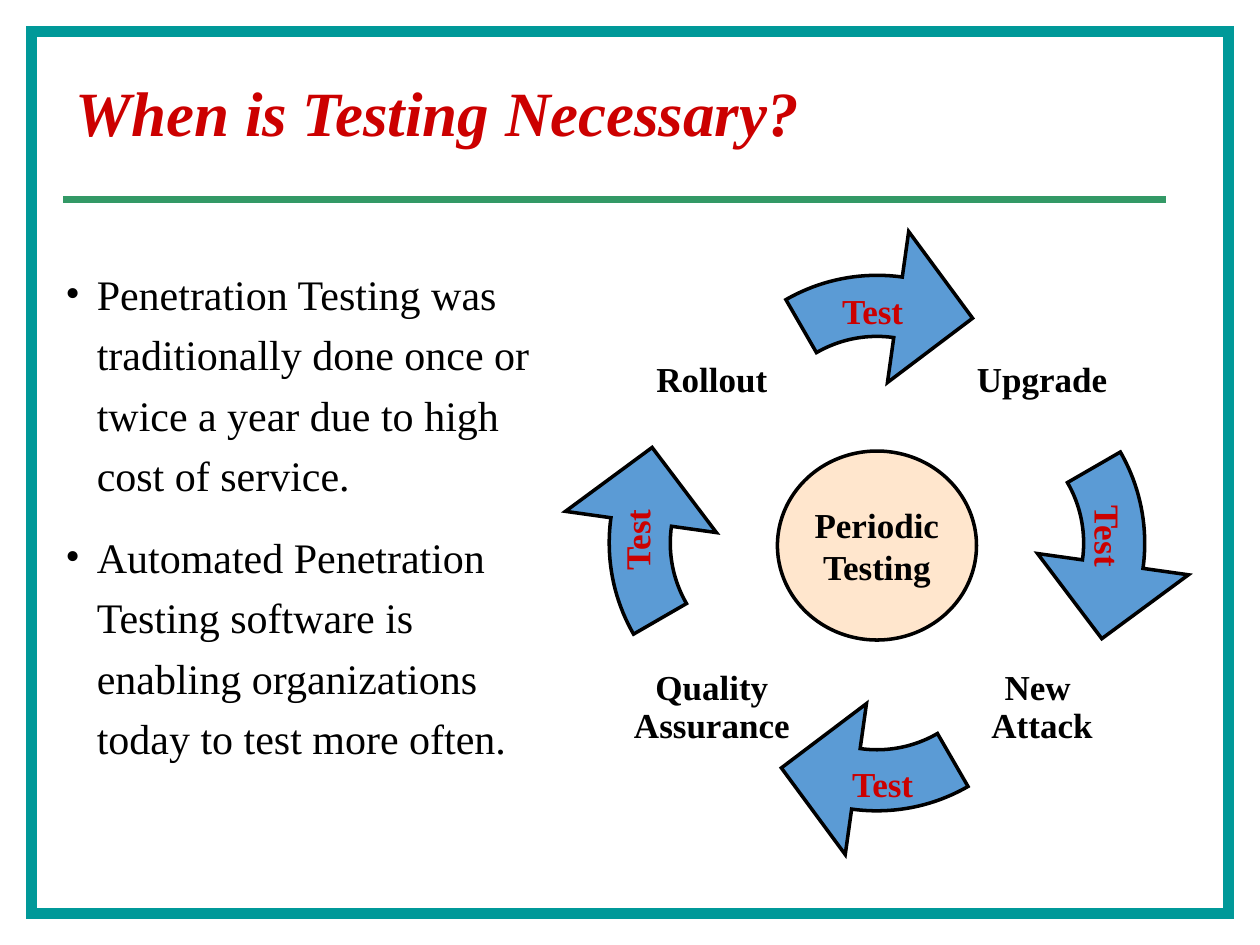
from dataclasses import dataclass
from math import cos, radians, sin, tan

from lxml.etree import SubElement
from pptx import Presentation
from pptx.dml.color import RGBColor
from pptx.enum.shapes import MSO_CONNECTOR, MSO_SHAPE
from pptx.enum.text import MSO_ANCHOR, PP_ALIGN
from pptx.oxml.ns import qn
from pptx.util import Inches, Pt


@dataclass(frozen=True)
class Theme:
    font: str = "Times New Roman"
    frame: str = "009999"
    rule: str = "339966"
    accent: str = "CC0000"
    ink: str = "000000"
    arrow: str = "5B9BD5"
    hub: str = "FFCC99"
    title_size: int = 36
    body_size: int = 24
    label_size: int = 20
    outline: float = 2


THEME = Theme()


def add_run(paragraph, text, size, color, bold=False, italic=False):
    run = paragraph.add_run()
    run.text = text
    font = run.font
    font.name, font.size, font.bold, font.italic = THEME.font, Pt(size), bold, italic
    font.color.rgb = RGBColor.from_string(color)


def set_line(shape, color, width):
    shape.line.color.rgb = RGBColor.from_string(color)
    shape.line.width = Pt(width)
    SubElement(shape._element.spPr.find(qn("a:ln")), qn("a:miter"), lim="800000")


def set_fill(shape, color):
    shape.fill.solid()
    shape.fill.fore_color.rgb = RGBColor.from_string(color)


def add_preset(slide, preset, box):
    shape = slide.shapes.add_shape(preset, *map(Inches, box))
    shape.shadow.inherit = False
    return shape


def add_text_box(slide, box, anchor=MSO_ANCHOR.TOP, wrap=True):
    shape = slide.shapes.add_textbox(*map(Inches, box))
    shape.text_frame.word_wrap = wrap
    shape.text_frame.vertical_anchor = anchor
    return shape


def write_lines(frame, lines, color, align, spacing=None):
    for index, line in enumerate(lines):
        paragraph = frame.add_paragraph() if index else frame.paragraphs[0]
        paragraph.alignment = align
        paragraph.line_spacing = spacing
        add_run(paragraph, line, THEME.label_size, color, bold=True)


def centered(x, y, width, height):
    return x - width / 2, y - height / 2, width, height


def add_frame(slide, box):
    frame = add_preset(slide, MSO_SHAPE.RECTANGLE, box)
    frame.fill.background()
    set_line(frame, THEME.frame, 6.25)


def add_title(slide, box, text):
    left, top, width, height = box
    title = add_text_box(slide, box, MSO_ANCHOR.MIDDLE)
    paragraph = title.text_frame.paragraphs[0]
    paragraph.line_spacing = 0.9
    add_run(paragraph, text, THEME.title_size, THEME.accent, bold=True, italic=True)
    # Rule just under the title
    y = Inches(top + height + 0.03)
    rule = slide.shapes.add_connector(
        MSO_CONNECTOR.STRAIGHT, Inches(left), y, Inches(left + width - 0.25), y)
    set_line(rule, THEME.rule, 4)
    SubElement(rule._element.spPr, qn("a:effectLst"))


def add_bullets(slide, box, items):
    frame = add_text_box(slide, box).text_frame
    for index, item in enumerate(items):
        paragraph = frame.add_paragraph() if index else frame.paragraphs[0]
        paragraph.line_spacing = 1.2
        paragraph.space_before = Pt(THEME.body_size / 2)
        properties = paragraph._p.get_or_add_pPr()
        properties.set("marL", str(Inches(0.25)))
        properties.set("indent", str(-Inches(0.25)))
        SubElement(properties, qn("a:buFont"), typeface=THEME.font)
        SubElement(properties, qn("a:buChar"), char="•")
        add_run(paragraph, item, THEME.body_size, THEME.ink)


def polar(radius, degrees):
    """Point at a clockwise angle from twelve o'clock."""
    angle = radians(degrees)
    return radius * sin(angle), -radius * cos(angle)


def arc_curve(radius, start, end):
    """Control points and end point of one Bezier arc."""
    reach = radius * 4 / 3 * tan(radians(end - start) / 4)
    (x1, y1), (x2, y2) = polar(radius, start), polar(radius, end)
    (dx1, dy1), (dx2, dy2) = polar(reach, start + 90), polar(reach, end + 90)
    return [(x1 + dx1, y1 + dy1), (x2 - dx2, y2 - dy2), (x2, y2)]


def add_cycle_arrow(slide, center, rotation):
    outer, inner, tail, neck = 1.445, 0.96, -30, 8
    left, top, size, _ = centered(*center, 2 * outer, 2 * outer)
    corners = [(Inches(left + x), Inches(top + y))
               for x, y in [(0, 0), (size, 0), (size, size), (0, size)]]
    builder = slide.shapes.build_freeform(*corners[0])
    builder.add_line_segments(corners[1:])
    arrow = builder.convert_to_shape()

    # Inner arc, tail, outer arc, then the head
    steps = [
        ("moveTo", [polar(inner, neck)]),
        ("cubicBezTo", arc_curve(inner, neck, 0)),
        ("cubicBezTo", arc_curve(inner, 0, tail)),
        ("lnTo", [polar(outer, tail)]),
        ("cubicBezTo", arc_curve(outer, tail, 0)),
        ("cubicBezTo", arc_curve(outer, 0, neck)),
        ("lnTo", [polar(1.81, neck)]),
        ("lnTo", [polar(1.34, 34.5)]),
        ("lnTo", [polar(0.6, neck)]),
        ("close", []),
    ]
    outline = arrow._element.find(".//" + qn("a:path"))
    for child in list(outline):
        outline.remove(child)
    for command, points in steps:
        step = SubElement(outline, qn("a:" + command))
        for x, y in points:
            SubElement(step, qn("a:pt"), x=str(Inches(outer + x)), y=str(Inches(outer + y)))

    arrow.rotation = rotation
    arrow.shadow.inherit = False
    set_fill(arrow, THEME.arrow)
    set_line(arrow, THEME.ink, THEME.outline)


def add_cycle(slide, box):
    left, top, width, height = box
    center_x, center_y = left + width / 2, top + height / 2

    # Four arrows, a quarter turn apart
    for rotation in range(0, 360, 90):
        x, y = polar(0.68, rotation)
        add_cycle_arrow(slide, (center_x + x, center_y + y), rotation)

    # Stages on the diagonals
    stages = [(1, -1, ["Upgrade"]), (1, 1, ["New ", "Attack"]),
              (-1, 1, ["Quality", "Assurance"]), (-1, -1, ["Rollout"])]
    for side_x, side_y, lines in stages:
        place = centered(center_x + 1.31 * side_x, center_y + 1.31 * side_y, 1.09, 1.09)
        stage = add_preset(slide, MSO_SHAPE.RECTANGLE, place)
        stage.fill.background()
        stage.line.fill.background()
        frame = stage.text_frame
        frame.word_wrap = False
        frame.vertical_anchor = MSO_ANCHOR.MIDDLE
        frame.margin_left = frame.margin_right = frame.margin_top = frame.margin_bottom = 0
        write_lines(frame, lines, THEME.ink, PP_ALIGN.CENTER, 0.9 if len(lines) > 1 else None)

    # Arrow captions: offset from the centre and rotation
    for x, y, rotation in [(-0.02, -1.85, 0), (0.06, 1.91, 0),
                           (1.84, -0.04, 90), (-1.91, -0.04, 270)]:
        caption = add_text_box(
            slide, centered(center_x + x, center_y + y, 0.71, 0.43), wrap=False)
        caption.rotation = rotation
        write_lines(caption.text_frame, ["Test"], THEME.accent, PP_ALIGN.LEFT)

    # Hub
    hub = add_preset(slide, MSO_SHAPE.OVAL, centered(center_x, center_y + 0.02, 1.58, 1.5))
    set_fill(hub, THEME.hub)
    color = hub._element.spPr.find(qn("a:solidFill"))[0]
    SubElement(color, qn("a:alpha"), val="49000")
    set_line(hub, THEME.ink, THEME.outline)
    hub.text_frame.word_wrap = False
    hub.text_frame.vertical_anchor = MSO_ANCHOR.MIDDLE
    write_lines(hub.text_frame, ["Periodic", "Testing"], THEME.ink, PP_ALIGN.CENTER)


def main():
    presentation = Presentation()
    presentation.slide_width, presentation.slide_height = Inches(10), Inches(7.5)
    slide = presentation.slides.add_slide(presentation.slide_layouts[6])
    add_frame(slide, (0.25, 0.25, 9.5, 7))
    add_title(slide, (0.5, 0.3, 9, 1.25), "When is Testing Necessary?")
    add_bullets(slide, (0.42, 2, 4, 4.42), [
        "Penetration Testing was traditionally done once or twice a year "
        "due to high cost of service.",
        "Automated Penetration Testing software is enabling organizations "
        "today to test more often.",
    ])
    add_cycle(slide, (4.46, 1.81, 5, 5))
    presentation.save("out.pptx")


if __name__ == "__main__":
    main()
